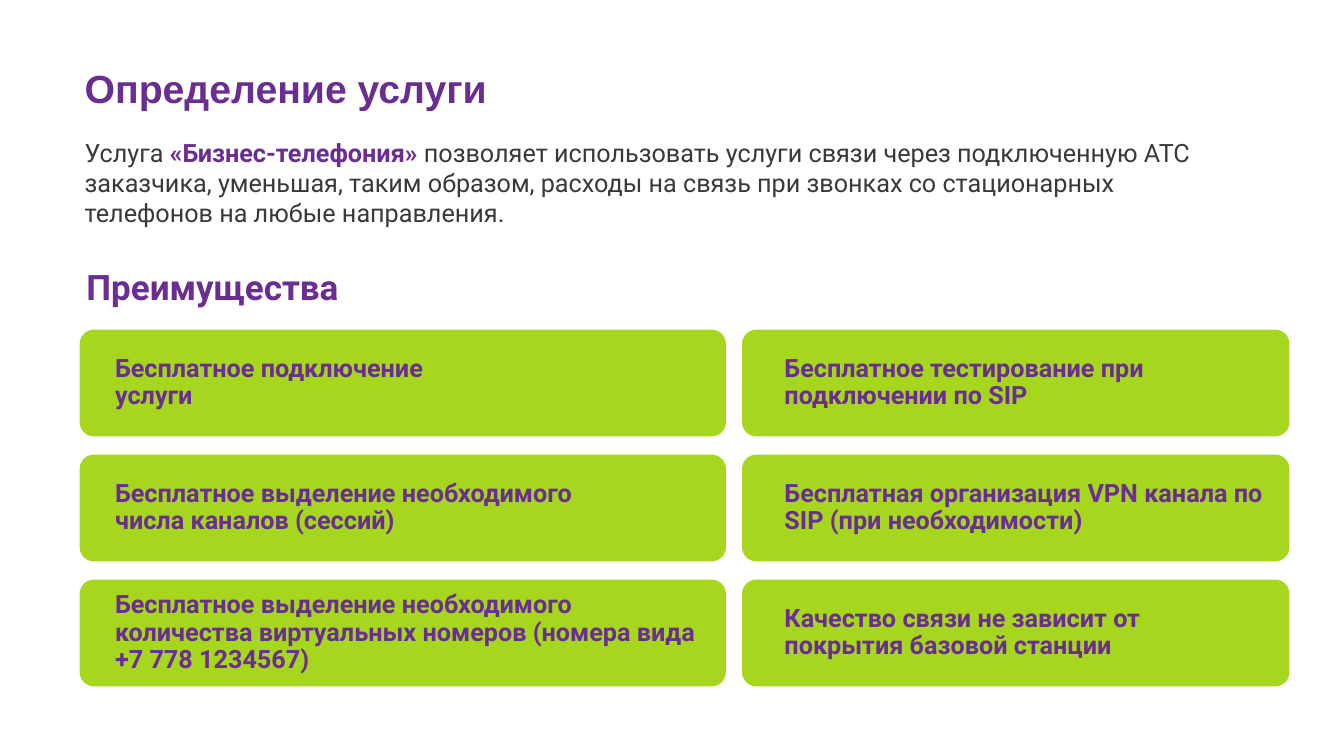
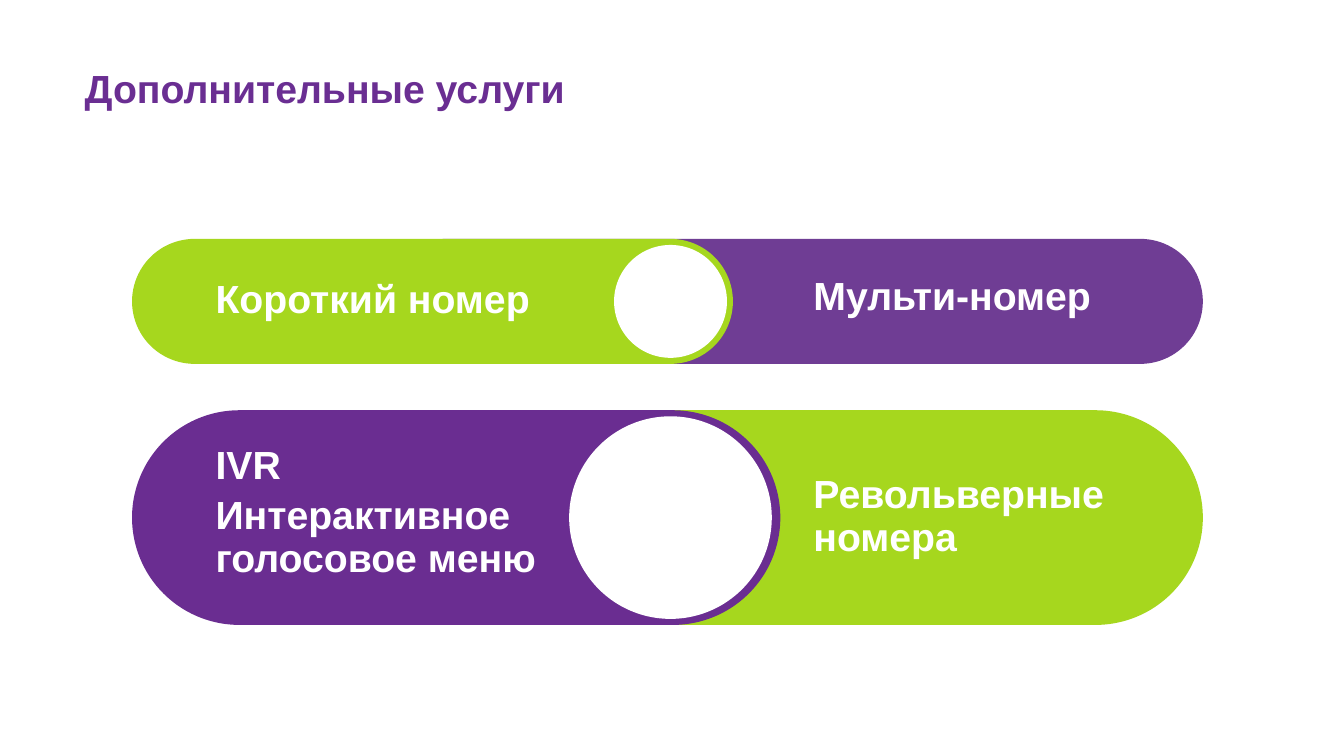
import pptx
import pptx.util
import pptx.dml.color
import pptx.enum.shapes
import pptx.enum.text
import lxml.etree

Inches = pptx.util.Inches
Pt = pptx.util.Pt
SHAPE = pptx.enum.shapes.MSO_SHAPE
ANCHOR = pptx.enum.text.MSO_ANCHOR

COLORS = {
    "green": "A6D71E",
    "violet": "6A2D91",
    "soft_violet": "6F3D94",
    "title": "6A2E92",
    "text": "3B3838",
    "white": "FFFFFF",
}
HEADLINE = {"name": "Arial", "size": Pt(28), "bold": True}
CARD_TEXT = {"name": "Roboto", "size": Pt(18), "bold": True}
BODY_TEXT = {"name": "Roboto", "size": Pt(18), "bold": False}
SUBHEAD = {"name": "Roboto", "size": Pt(25), "bold": True}
LINES = {"line_spacing": 0.9, "space_before": Pt(0), "space_after": Pt(6)}
PLAIN = {"line_spacing": 1.0, "space_before": Pt(0), "space_after": Pt(0)}
TITLE_BOX = (0.74, 0.52, 6.44, 0.64)


def rgb(color):
    """Return the palette colour as an RGB value."""
    return pptx.dml.color.RGBColor.from_string(COLORS[color])


def apply(target, values):
    """Set each attribute named in values on target."""
    for name, value in values.items():
        setattr(target, name, value)


def place(sp, box):
    """Move and size a shape to a box given in inches."""
    apply(sp, dict(zip(("left", "top", "width", "height"), map(Inches, box))))


def write(tf, paragraphs, font, color, spacing, anchor):
    """Fill a text frame with left-aligned paragraphs in one format."""
    apply(tf, {"word_wrap": True, "vertical_anchor": anchor,
               "auto_size": pptx.enum.text.MSO_AUTO_SIZE.NONE})
    for i, text in enumerate(paragraphs):
        p = tf.add_paragraph() if i else tf.paragraphs[0]
        apply(p, {"alignment": pptx.enum.text.PP_ALIGN.LEFT, **spacing})
        r = p.add_run()
        r.text = text
        apply(r.font, font)
        r.font.color.rgb = rgb(color)


def add_text(s, box, paragraphs, font, color, spacing=LINES, anchor=ANCHOR.BOTTOM):
    """Add a wrapped text box."""
    sp = s.shapes.add_textbox(*map(Inches, box))
    write(sp.text_frame, paragraphs, font, color, spacing, anchor)


def add_shape(s, kind, box, color, corner=None):
    """Add a flat filled shape without outline."""
    sp = s.shapes.add_shape(kind, *map(Inches, box))
    sp.shadow.inherit = False
    sp.fill.solid()
    sp.fill.fore_color.rgb = rgb(color)
    sp.line.fill.background()
    if corner is not None:
        sp.adjustments[0] = corner
    return sp


def add_slide(prs, layout, title):
    """Add a slide with the shared title style."""
    s = prs.slides.add_slide(prs.slide_layouts[layout])
    place(s.shapes.title, TITLE_BOX)
    write(s.shapes.title.text_frame, [title], HEADLINE, "title", LINES, ANCHOR.BOTTOM)
    return s


def add_intro(s, box, parts):
    """Fill the body placeholder with one unbulleted paragraph of mixed runs."""
    sp = s.placeholders[1]
    place(sp, box)
    tf = sp.text_frame
    write(tf, [], BODY_TEXT, "text", PLAIN, ANCHOR.TOP)
    p = tf.paragraphs[0]
    pPr = p._p.get_or_add_pPr()
    apply(p, PLAIN)
    pPr.set("marL", "0")
    pPr.set("indent", "0")
    lxml.etree.SubElement(pPr, pptx.oxml.ns.qn("a:buNone"))
    for text, color, bold in parts:
        r = p.add_run()
        r.text = text
        apply(r.font, {**BODY_TEXT, "bold": bold})
        r.font.color.rgb = rgb(color)


def add_cards(s, box, indent, cards):
    """Stack equal cards in a column; each is its text and right margin."""
    left, top, width, height = box
    card_height = 1.06
    step = (height - card_height) / (len(cards) - 1)
    for i, (text, right) in enumerate(cards):
        sp = add_shape(s, SHAPE.ROUNDED_RECTANGLE,
                       (left, top + i * step, width, card_height), "green", 0.134)
        tf = sp.text_frame
        apply(tf, {"margin_left": Inches(indent), "margin_right": Inches(right),
                   "margin_top": 0, "margin_bottom": 0})
        write(tf, [text], CARD_TEXT, "violet", {**LINES, "space_after": Pt(0)}, ANCHOR.MIDDLE)


def add_pill(s, box, front_width, front, back, labels):
    """Draw two overlapping pills with a white disc and a label on each side."""
    left, top, width, height = box
    overlap, disc_center, rim = 2.5, 5.34, 0.06
    disc = height - 2 * rim
    add_shape(s, SHAPE.ROUNDED_RECTANGLE,
              (left + overlap, top, width - overlap, height), back, 0.5)
    add_shape(s, SHAPE.ROUNDED_RECTANGLE, (left, top, front_width, height), front, 0.5)
    add_shape(s, SHAPE.OVAL,
              (left + disc_center - disc / 2, top + rim, disc, disc), "white")
    for x, (y, label_height, paragraphs) in zip((0.73, 6.66), labels):
        add_text(s, (left + x, top + y, 4.1, label_height), paragraphs, HEADLINE, "white")


def build_definition(prs):
    """Build the slide with the service definition and its advantages."""
    s = add_slide(prs, 1, "Определение услуги")
    add_intro(s, (0.74, 1.31, 11.66, 1.01), [
        ("Услуга ", "text", False),
        ("«Бизнес-телефония» ", "violet", True),
        ("позволяет использовать услуги связи через подключенную АТС заказчика, "
         "уменьшая, таким образом, расходы на связь при звонках со стационарных "
         "телефонов на любые направления.", "text", False),
    ])
    add_text(s, (0.76, 2.58, 4.73, 0.52), ["Преимущества"], SUBHEAD, "violet",
             PLAIN, ANCHOR.TOP)
    add_cards(s, (0.79, 3.27, 6.41, 3.54), 0.31, [
        ("Бесплатное подключение услуги", 2.25),
        ("Бесплатное выделение необходимого числа каналов (сессий)", 1.14),
        ("Бесплатное выделение необходимого количества виртуальных номеров "
         "(номера вида +7 778 1234567)", 0.25),
    ])
    add_cards(s, (7.36, 3.27, 5.43, 3.54), 0.38, [
        ("Бесплатное тестирование при подключении по SIP", 0.08),
        ("Бесплатная организация VPN канала по SIP (при необходимости)", 0.08),
        ("Качество связи не зависит от покрытия базовой станции", 1.14),
    ])


def build_extras(prs):
    """Build the slide with the additional services."""
    s = add_slide(prs, 5, "Дополнительные услуги")
    add_pill(s, (1.31, 2.37, 10.62, 1.24), 5.96, "green", "soft_violet", [
        (0.23, 0.64, ["Короткий номер"]),
        (0.36, 0.48, ["Мульти-номер"]),
    ])
    add_pill(s, (1.31, 4.07, 10.62, 2.13), 6.43, "violet", "green", [
        (0.29, 1.45, ["IVR", "Интерактивное голосовое меню"]),
        (0.29, 1.24, ["Револьверные номера"]),
    ])


def main():
    """Create the presentation and save it."""
    prs = pptx.Presentation()
    apply(prs, {"slide_width": Inches(13.33), "slide_height": Inches(7.5)})
    build_definition(prs)
    build_extras(prs)
    prs.save("out.pptx")


if __name__ == "__main__":
    main()
